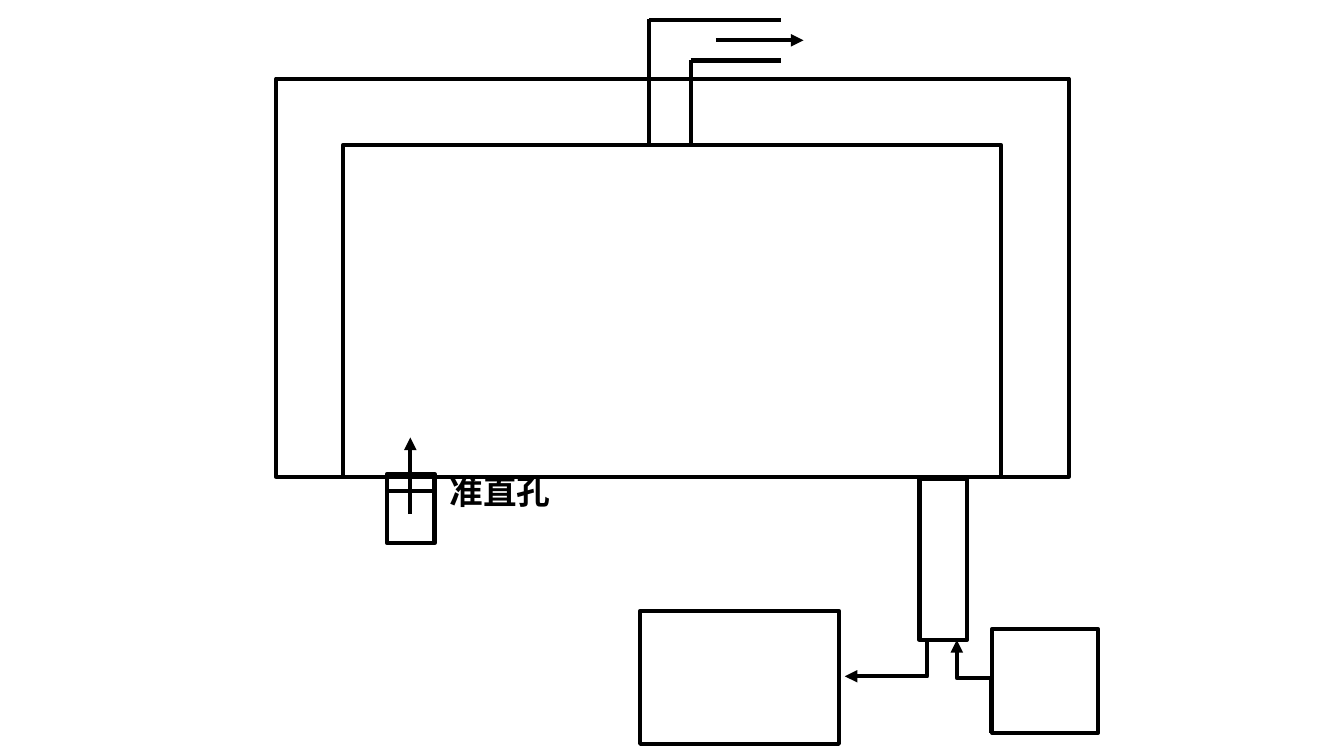
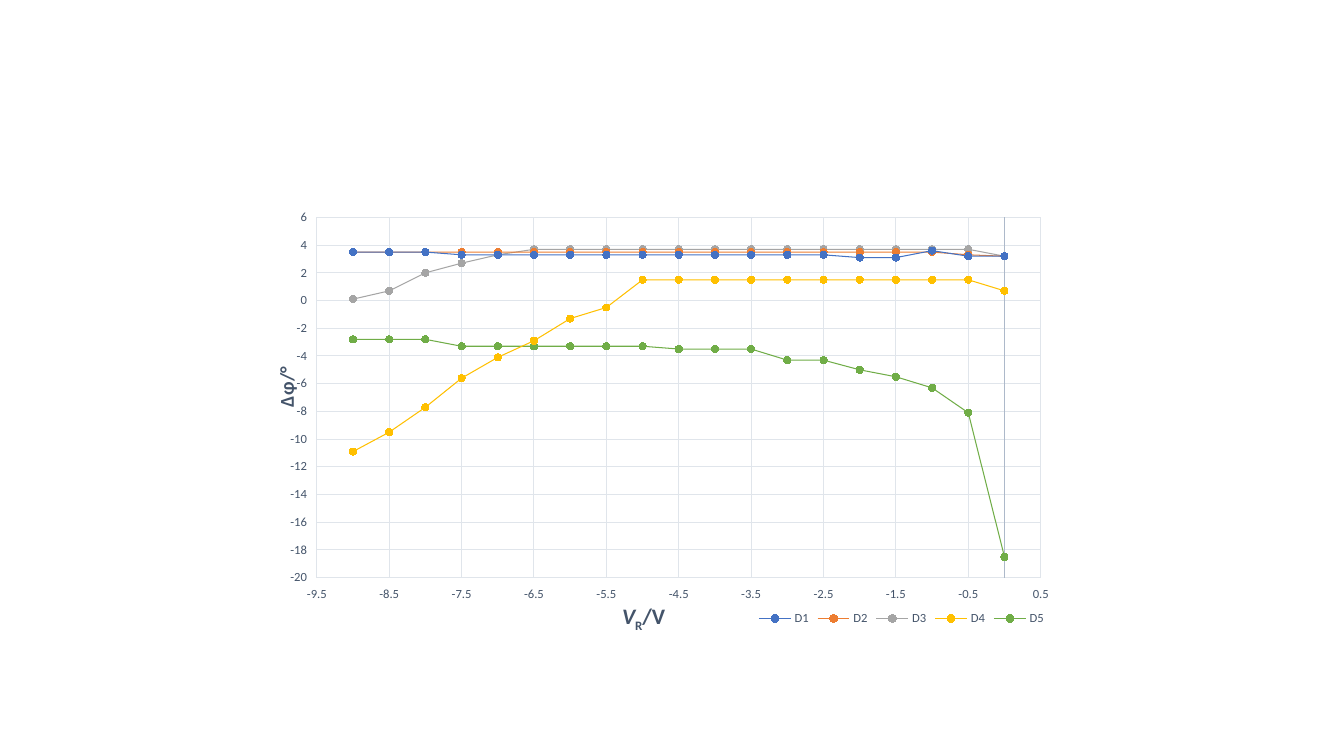
from pptx import Presentation
from pptx.chart.data import XyChartData
from pptx.dml.color import RGBColor
from pptx.enum import chart as ch, shapes, text
from pptx.oxml import ns, xmlchemy
from pptx.util import Inches, Pt

BLACK, SLATE, GRID, AXIS = "000000", "44546A", "E0E5EB", "ADB9CA"
CJK, LATIN = "Noto Sans CJK SC", "Calibri"

BOXES = [
    (2.74, 0.78, 7.86, 3.95),
    (3.4, 1.44, 6.53, 3.29),
    (9.84, 6.24, 1.05, 1.03),
    (6.35, 6.06, 1.97, 1.32),
    (9.12, 4.75, 0.47, 1.6),
    (3.84, 4.7, 0.47, 0.69),
]
PIPES = [
    (6.44, 0.19, 6.44, 1.44),
    (6.85, 0.6, 6.85, 1.44),
    (6.44, 0.2, 7.75, 0.2),
    (6.85, 0.6, 7.75, 0.6),
    (3.84, 4.87, 4.3, 4.87),
]
FLOWS = [(4.07, 5.1, 4.07, 4.34), (7.1, 0.4, 7.97, 0.4)]
ELBOWS = [
    {"ends": (9.23, 6.35, 8.38, 6.71), "bend": 0.04, "turn": 0},
    {"ends": (9.2, 6.98, 10.12, 6.64), "bend": 0.59, "turn": 270},
]
HOLE_LABEL = "准直孔"

VOLTAGES = [-0.5 * step for step in range(19)]
PHASES = {
    "D1": ("4472C4", [3.2, 3.2, 3.6, 3.1, 3.1] + [3.3] * 11 + [3.5] * 3),
    "D2": ("ED7D31", [3.2, 3.3] + [3.5] * 17),
    "D3": ("A5A5A5", [3.2] + [3.7] * 13 + [3.3, 2.7, 2, 0.7, 0.1]),
    "D4": ("FFC000", [0.7] + [1.5] * 10
           + [-0.5, -1.3, -2.9, -4.1, -5.6, -7.7, -9.5, -10.9]),
    "D5": ("70AD47", [-18.5, -8.1, -6.3, -5.5, -5, -4.3, -4.3]
           + [-3.5] * 3 + [-3.3] * 6 + [-2.8] * 3),
}
VOLTAGE_AXIS = {
    "range": (-9.5, 0.5, 1), "line": GRID, "size": 16, "place": (0.45, 0.92),
    "title": [("V", "italic"), ("R", "sub"), ("/V", "")],
}
PHASE_AXIS = {
    "range": (-20, 6, 2), "line": AXIS, "size": 14, "place": (0.01, 0.37),
    "title": [("Δφ/°", "")],
}


def rgb(value):
    return RGBColor.from_string(value)


def style_line(line, color, width):
    line.color.rgb = rgb(color)
    line.width = Pt(width)


def style_font(font, size, color, name, bold=False):
    font.size, font.name, font.bold = Pt(size), name, bold
    font.color.rgb = rgb(color)


def child(parent, tag, **attributes):
    element = xmlchemy.OxmlElement(tag)
    for key, value in attributes.items():
        element.set(key, str(value))
    parent.append(element)
    return element


def add_box(slide, box):
    shape = slide.shapes.add_shape(shapes.MSO_SHAPE.RECTANGLE, *map(Inches, box))
    shape.shadow.inherit = False
    shape.fill.background()
    style_line(shape.line, BLACK, 3)


def add_line(slide, ends, arrow=False, kind=shapes.MSO_CONNECTOR.STRAIGHT):
    line = slide.shapes.add_connector(kind, *map(Inches, ends))
    style_line(line.line, BLACK, 3)
    properties = line._element.spPr
    child(properties, "a:effectLst")
    if arrow:
        child(properties.find(ns.qn("a:ln")), "a:tailEnd", type="triangle")
    return properties


def add_elbow(slide, ends, bend, turn):
    properties = add_line(slide, ends, True, shapes.MSO_CONNECTOR.ELBOW)
    properties.find(ns.qn("a:xfrm")).set("rot", str(turn * 60000))
    geometry = properties.find(ns.qn("a:prstGeom"))
    adjustments = geometry.find(ns.qn("a:avLst"))
    if adjustments is None:
        adjustments = child(geometry, "a:avLst")
    child(adjustments, "a:gd", name="adj1", fmla=f"val {round(bend * 100000)}")


def place(element, index, inner=False, **fractions):
    layout = element.find(ns.qn("c:layout"))
    if layout is not None:
        element.remove(layout)
    layout = xmlchemy.OxmlElement("c:layout")
    element.insert(index, layout)
    manual = child(layout, "c:manualLayout")
    if inner:
        child(manual, "c:layoutTarget", val="inner")
    for key in ("x", "y"):
        child(manual, f"c:{key}Mode", val="edge")
    for key, value in fractions.items():
        child(manual, f"c:{key}", val=value)


def style_axis(axis, settings):
    axis.minimum_scale, axis.maximum_scale, axis.major_unit = settings["range"]
    axis.has_major_gridlines = True
    style_line(axis.major_gridlines.format.line, GRID, 0.75)
    style_line(axis.format.line, settings["line"], 0.75)
    axis.major_tick_mark = axis.minor_tick_mark = ch.XL_TICK_MARK.NONE
    axis.tick_label_position = ch.XL_TICK_LABEL_POSITION.LOW
    style_font(axis.tick_labels.font, 9, SLATE, LATIN)
    title = axis.axis_title
    paragraph = title.text_frame.paragraphs[0]
    for words, look in settings["title"]:
        run = paragraph.add_run()
        run.text = words
        style_font(run.font, settings["size"], SLATE, LATIN, bold=True)
        run.font.italic = look == "italic"
        if look == "sub":
            run._r.get_or_add_rPr().set("baseline", "-25000")
    left, top = settings["place"]
    place(title._element, 1, x=left, y=top)
    return title


def build_apparatus(slide):
    for box in BOXES:
        add_box(slide, box)
    for pipe in PIPES:
        add_line(slide, pipe)
    for elbow in ELBOWS:
        add_elbow(slide, **elbow)
    for flow in FLOWS:
        add_line(slide, flow, arrow=True)
    label = slide.shapes.add_textbox(*map(Inches, (4.36, 4.62, 1.21, 0.5)))
    label.text_frame.word_wrap = False
    label.text_frame.auto_size = text.MSO_AUTO_SIZE.SHAPE_TO_FIT_TEXT
    run = label.text_frame.paragraphs[0].add_run()
    run.text = HOLE_LABEL
    style_font(run.font, 24, BLACK, CJK, bold=True)
    child(run._r.get_or_add_rPr(), "a:ea", typeface=CJK)


def build_phase_chart(slide):
    data = XyChartData()
    for name, (_, phases) in PHASES.items():
        series = data.add_series(name)
        for voltage, phase in zip(VOLTAGES, phases):
            series.add_data_point(voltage, phase)
    chart = slide.shapes.add_chart(
        ch.XL_CHART_TYPE.XY_SCATTER_SMOOTH,
        *map(Inches, (2.59, 2.03, 7.89, 4.31)), data).chart
    chart.has_title = False
    style_font(chart.font, 10, BLACK, LATIN)
    plot = chart.plots[0]
    plot.vary_by_categories = False
    for series, (color, _) in zip(plot.series, PHASES.values()):
        series.smooth = True
        style_line(series.format.line, color, 0.75)
        marker = series.marker
        marker.style, marker.size = ch.XL_MARKER_STYLE.CIRCLE, 5
        marker.format.fill.solid()
        marker.format.fill.fore_color.rgb = rgb(color)
        style_line(marker.format.line, color, 0.75)
    style_axis(chart.category_axis, VOLTAGE_AXIS)
    phase_title = style_axis(chart.value_axis, PHASE_AXIS)
    direction = phase_title.text_frame._txBody.find(ns.qn("a:bodyPr"))
    direction.set("rot", "-5400000")
    direction.set("vert", "horz")
    chart.has_legend = True
    legend = chart.legend
    legend.position = ch.XL_LEGEND_POSITION.BOTTOM
    legend.include_in_layout = False
    style_font(legend.font, 9, SLATE, LATIN)
    place(legend._element, 1, x=0.62, y=0.93, w=0.37, h=0.07)
    area = chart._chartSpace.find(".//" + ns.qn("c:plotArea"))
    place(area, 0, inner=True, x=0.07, y=0.03, w=0.91, h=0.84)


def main():
    deck = Presentation()
    deck.slide_width, deck.slide_height = Inches(13.33), Inches(7.5)
    for build in (build_apparatus, build_phase_chart):
        build(deck.slides.add_slide(deck.slide_layouts[6]))
    deck.save("out.pptx")


if __name__ == "__main__":
    main()
